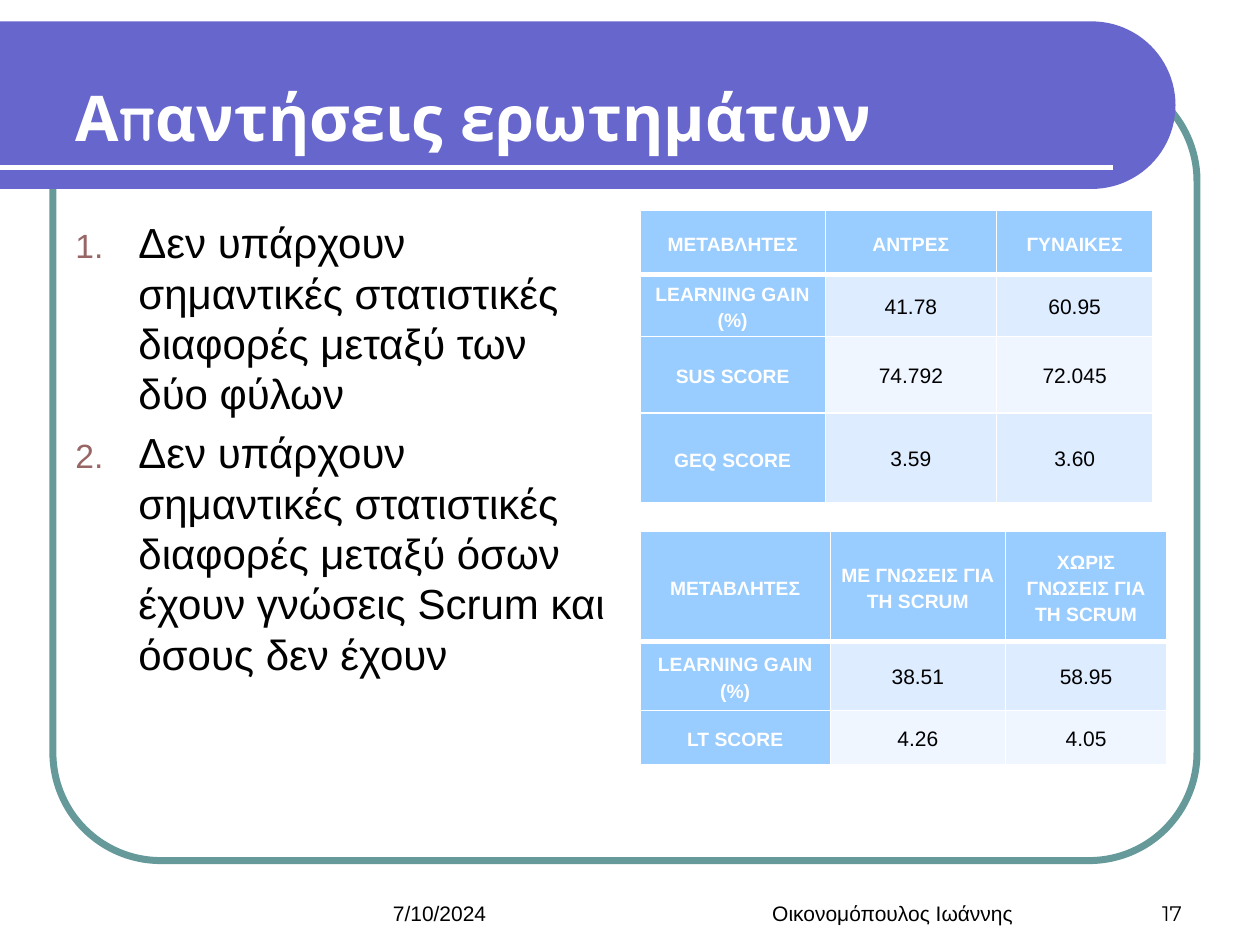
from math import cos, pi, sin

from lxml import etree
from pptx import Presentation
from pptx.dml.color import RGBColor
from pptx.enum.shapes import MSO_CONNECTOR, MSO_SHAPE
from pptx.enum.text import MSO_ANCHOR, PP_ALIGN
from pptx.oxml.ns import qn
from pptx.util import Inches, Pt

LEFT, CENTER, RIGHT = PP_ALIGN.LEFT, PP_ALIGN.CENTER, PP_ALIGN.RIGHT
TOP, MIDDLE, BOTTOM = MSO_ANCHOR.TOP, MSO_ANCHOR.MIDDLE, MSO_ANCHOR.BOTTOM
ROUNDED, STRAIGHT = MSO_SHAPE.ROUNDED_RECTANGLE, MSO_CONNECTOR.STRAIGHT

WHITE = RGBColor(0xFF, 0xFF, 0xFF)
BLACK = RGBColor(0, 0, 0)
TEAL = RGBColor(0x66, 0x99, 0x99)
VIOLET = RGBColor(0x66, 0x66, 0xCC)
MAROON = RGBColor(0x99, 0x66, 0x66)
HEADER_BLUE = RGBColor(0x99, 0xCC, 0xFF)
BAND_FILLS = (RGBColor(0xDE, 0xEC, 0xFF), RGBColor(0xEF, 0xF6, 0xFF))

ANSWERS = [
    "Δεν υπάρχουν σημαντικές στατιστικές διαφορές μεταξύ των δύο φύλων",
    "Δεν υπάρχουν σημαντικές στατιστικές διαφορές μεταξύ όσων έχουν γνώσεις "
    "Scrum και όσους δεν έχουν",
]
GENDER_ROWS = [
    ("ΜΕΤΑΒΛΗΤΕΣ", "ΑΝΤΡΕΣ", "ΓΥΝΑΙΚΕΣ"),
    ("LEARNING GAIN (%)", "41.78", "60.95"),
    ("SUS SCORE", "74.792", "72.045"),
    ("GEQ SCORE", "3.59", "3.60"),
]
SCRUM_ROWS = [
    ("ΜΕΤΑΒΛΗΤΕΣ", "ΜΕ ΓΝΩΣΕΙΣ ΓΙΑ ΤΗ SCRUM", "ΧΩΡΙΣ ΓΝΩΣΕΙΣ ΓΙΑ ΤΗ SCRUM"),
    ("LEARNING GAIN (%)", "38.51", "58.95"),
    ("LT SCORE", "4.26", "4.05"),
]


def style_font(paragraph, size, color, name="Arial", bold=False):
    font = paragraph.font
    font.size, font.name, font.bold = Pt(size), name, bold
    font.color.rgb = color


def add_text_frame(slide, box, anchor):
    frame = slide.shapes.add_textbox(*map(Inches, box)).text_frame
    frame.word_wrap = True
    frame.vertical_anchor = anchor
    return frame


def add_frame(slide, box):
    outline = slide.shapes.add_shape(ROUNDED, *map(Inches, box))
    outline.shadow.inherit = False
    outline.adjustments[0] = 0.137
    outline.fill.background()
    outline.line.color.rgb = TEAL
    outline.line.width = Pt(4)


def add_banner(slide, box):
    left, top, width, height = box
    radius = height / 2
    center_x, center_y = left + width - radius, top + radius
    steps = 48
    angles = [-pi / 2 + pi * i / steps for i in range(steps + 1)]
    arc = [(center_x + radius * cos(a), center_y + radius * sin(a)) for a in angles]
    builder = slide.shapes.build_freeform(Inches(left), Inches(top), scale=1.0)
    builder.add_line_segments(
        [(Inches(x), Inches(y)) for x, y in arc + [(left, top + height)]])
    banner = builder.convert_to_shape()
    banner.shadow.inherit = False
    banner.fill.solid()
    banner.fill.fore_color.rgb = VIOLET
    banner.line.fill.background()

    # White rule under the title
    rule_y = Inches(top + height - 0.17)
    rule = slide.shapes.add_connector(
        STRAIGHT, Inches(left), rule_y, Inches(left + width - 0.5), rule_y)
    rule.line.color.rgb = WHITE
    rule.line.width = Pt(3)
    etree.SubElement(rule.element.spPr, qn("a:effectLst"))


def add_title(slide, box):
    title = add_text_frame(slide, box, MIDDLE).paragraphs[0]
    title.text = "Απαντήσεις ερωτημάτων"
    style_font(title, 36, WHITE, "Quicksand", True)


def number_paragraph(paragraph):
    props = paragraph._p.get_or_add_pPr()
    props.set("marL", str(Inches(0.5)))
    props.set("indent", str(Inches(-0.5)))
    color = etree.SubElement(props, qn("a:buClr"))
    etree.SubElement(color, qn("a:srgbClr"), val=str(MAROON))
    etree.SubElement(props, qn("a:buSzPct"), val="80000")
    etree.SubElement(props, qn("a:buFont"), typeface="Arial")
    etree.SubElement(props, qn("a:buAutoNum"), type="arabicPeriod")


def add_answers(slide, box):
    frame = add_text_frame(slide, box, TOP)
    for i, answer in enumerate(ANSWERS):
        paragraph = frame.add_paragraph() if i else frame.paragraphs[0]
        paragraph.text = answer
        number_paragraph(paragraph)
        if i:
            paragraph.space_before = Pt(4.8)
        style_font(paragraph, 24, BLACK)


def set_borders(cell, top, bottom):
    props = cell._tc.get_or_add_tcPr()
    for side, points in (("L", 1), ("R", 1), ("T", top), ("B", bottom)):
        border = etree.SubElement(props, qn(f"a:ln{side}"), w=str(Pt(points)))
        fill = etree.SubElement(border, qn("a:solidFill"))
        etree.SubElement(fill, qn("a:srgbClr"), val=str(WHITE))


def add_scores(slide, left, top, rows, widths, heights):
    table = slide.shapes.add_table(
        len(rows), len(widths), Inches(left), Inches(top),
        Inches(sum(widths)), Inches(sum(heights))).table
    for column, width in zip(table.columns, widths):
        column.width = Inches(width)
    for r, (values, height) in enumerate(zip(rows, heights)):
        table.rows[r].height = Inches(height)
        for c, value in enumerate(values):
            heading = r == 0 or c == 0
            cell = table.cell(r, c)
            # The rule below the header row is thicker
            set_borders(cell, 3 if r == 1 else 1, 3 if r == 0 else 1)
            cell.fill.solid()
            cell.fill.fore_color.rgb = HEADER_BLUE if heading else BAND_FILLS[(r - 1) % 2]
            cell.vertical_anchor = MIDDLE
            cell.margin_left = cell.margin_right = Inches(0.07)
            cell.margin_top = cell.margin_bottom = 0
            paragraph = cell.text_frame.paragraphs[0]
            paragraph.text = value
            paragraph.alignment = CENTER
            paragraph.line_spacing = Pt(15)
            style_font(paragraph, 11 if heading else 12,
                       WHITE if heading else BLACK, bold=heading)


def add_footer(slide, top, height):
    for text, left, width, alignment, font_name in (
        ("7/10/2024", 3.02, 2.33, LEFT, "Arial"),
        ("Οικονομόπουλος Ιωάννης", 5.5, 3.17, CENTER, "Arial"),
        ("17", 8.81, 0.67, RIGHT, "Montserrat"),
    ):
        paragraph = add_text_frame(slide, (left, top, width, height), BOTTOM).paragraphs[0]
        paragraph.text = text
        paragraph.alignment = alignment
        paragraph.space_after = Pt(6)
        style_font(paragraph, 12, BLACK, font_name)


def main():
    deck = Presentation()
    deck.slide_width, deck.slide_height = Inches(10), Inches(7.5)
    slide = deck.slides.add_slide(deck.slide_layouts[6])

    # Background decoration
    add_frame(slide, (0.42, 0.58, 9.08, 6.25))
    add_banner(slide, (0, 0.17, 9.33, 1.33))

    # Title and answers
    add_title(slide, (0.5, 0.3, 9, 1.25))
    add_answers(slide, (0.5, 1.67, 4.42, 5.02))

    # Score tables
    add_scores(slide, 5.08, 4.22, SCRUM_ROWS, (1.51, 1.39, 1.28), (0.87, 0.55, 0.43))
    add_scores(slide, 5.08, 1.67, GENDER_ROWS, (1.47, 1.36, 1.24), (0.51, 0.49, 0.61, 0.71))

    add_footer(slide, 6.9, 0.5)
    deck.save("out.pptx")


if __name__ == "__main__":
    main()
